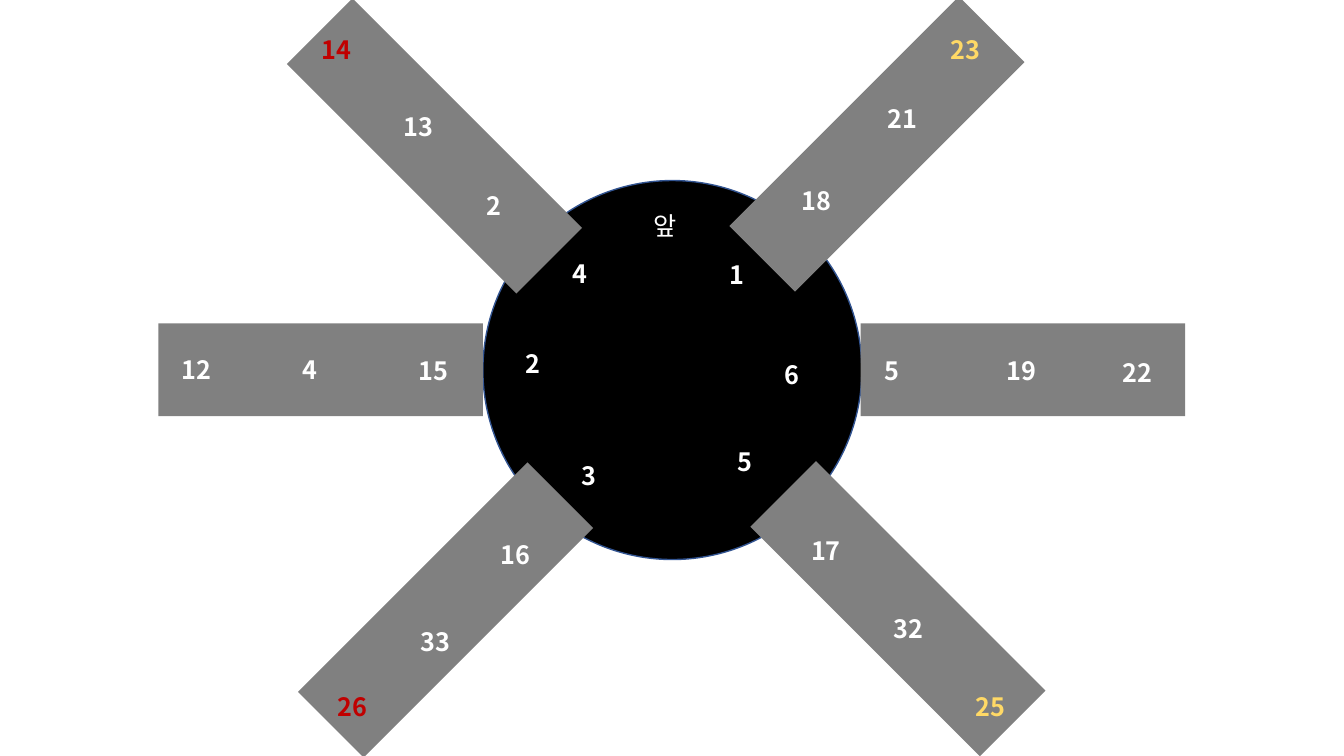
"""Build a hub-and-arms seating diagram with numbered positions."""
from lxml import etree
from pptx import Presentation
from pptx.dml.color import RGBColor
from pptx.enum.shapes import MSO_SHAPE
from pptx.enum.text import MSO_AUTO_SIZE
from pptx.oxml.ns import qn
from pptx.util import Cm, Pt

OVAL, BAR = MSO_SHAPE.OVAL, MSO_SHAPE.RECTANGLE
FIT_SHAPE = MSO_AUTO_SIZE.SHAPE_TO_FIT_TEXT
BLACK = RGBColor(0x00, 0x00, 0x00)
BLUE = RGBColor(0x32, 0x54, 0x91)
GRAY = RGBColor(0x80, 0x80, 0x80)
WHITE = RGBColor(0xFF, 0xFF, 0xFF)
RED = RGBColor(0xC0, 0x00, 0x00)
YELLOW = RGBColor(0xFF, 0xD9, 0x66)
FONT = "Noto Sans CJK KR"

HUB = (12.17, 4.55, 9.55, 9.55)
ARM_WIDTH, ARM_HEIGHT = 8.18, 2.34
LABEL_WIDTH, LABEL_HEIGHT = 1.27, 1.02
TIP_COLORS = {"14": RED, "26": RED, "23": YELLOW, "25": YELLOW}

ARMS = [
    (3.99, 8.15, 0, [("12", 4.32, 8.81), ("4", 7.37, 8.81), ("15", 10.31, 8.84)]),
    (21.69, 8.15, 0, [("5", 22.05, 8.84), ("19", 25.12, 8.84), ("22", 28.04, 8.89)]),
    (18.54, 14.17, 45, [("17", 20.19, 13.36), ("32", 22.28, 15.32), ("25", 24.33, 17.3)]),
    (6.86, 2.51, 45, [("14", 7.85, 0.74), ("13", 9.93, 2.69), ("2", 12.01, 4.67)]),
    (7.14, 14.2, 315, [("26", 8.26, 17.3), ("33", 10.34, 15.67), ("16", 12.37, 13.46)]),
    (18.01, 2.46, 315, [("18", 19.96, 4.55), ("21", 22.12, 2.49), ("23", 23.7, 0.74)]),
]
FRONT = ("앞", 16.23, 5.18)
HUB_LABELS = [
    ("1", 18.14, 6.4), ("6", 19.53, 8.92), ("5", 18.34, 11.13),
    ("4", 14.17, 6.38), ("2", 13, 8.66), ("3", 14.4, 11.48),
]


def add_block(page, kind, bounds, color):
    """Add a flat shape without an outline."""
    block = page.shapes.add_shape(kind, *map(Cm, bounds))
    block.shadow.inherit = False
    block.fill.solid()
    block.fill.fore_color.rgb = color
    block.line.fill.background()
    return block


def add_label(page, text, left, top, bold=True):
    """Add one label, coloured by its number."""
    box = page.shapes.add_textbox(Cm(left), Cm(top), Cm(LABEL_WIDTH), Cm(LABEL_HEIGHT))
    box.text_frame.word_wrap = True
    box.text_frame.auto_size = FIT_SHAPE
    para = box.text_frame.paragraphs[0]
    para.text = text
    para.font.name = FONT
    para.font.size = Pt(18)
    para.font.bold = bold
    para.font.color.rgb = TIP_COLORS.get(text, WHITE)
    etree.SubElement(para._p.pPr.find(qn("a:defRPr")), qn("a:ea"), typeface=FONT)


deck = Presentation()
deck.slide_width, deck.slide_height = Cm(33.87), Cm(19.05)
page = deck.slides.add_slide(deck.slide_layouts[6])

hub = add_block(page, OVAL, HUB, BLACK)
hub.line.color.rgb = BLUE
hub.line.width = Pt(1)

for left, top, angle, labels in ARMS:
    arm = add_block(page, BAR, (left, top, ARM_WIDTH, ARM_HEIGHT), GRAY)
    arm.rotation = angle
    for label in labels:
        add_label(page, *label)

add_label(page, *FRONT, bold=False)
for label in HUB_LABELS:
    add_label(page, *label)

deck.save("out.pptx")
